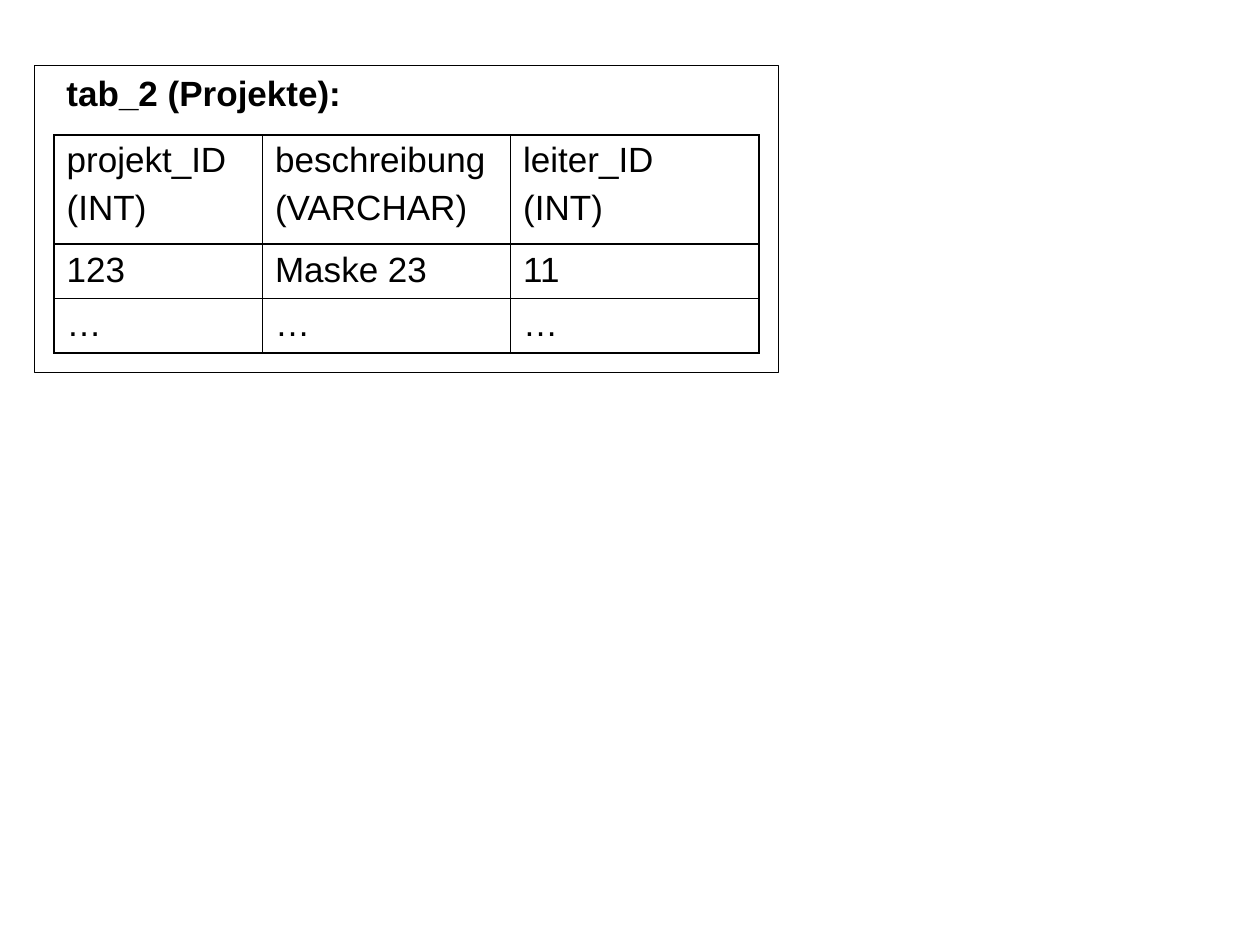
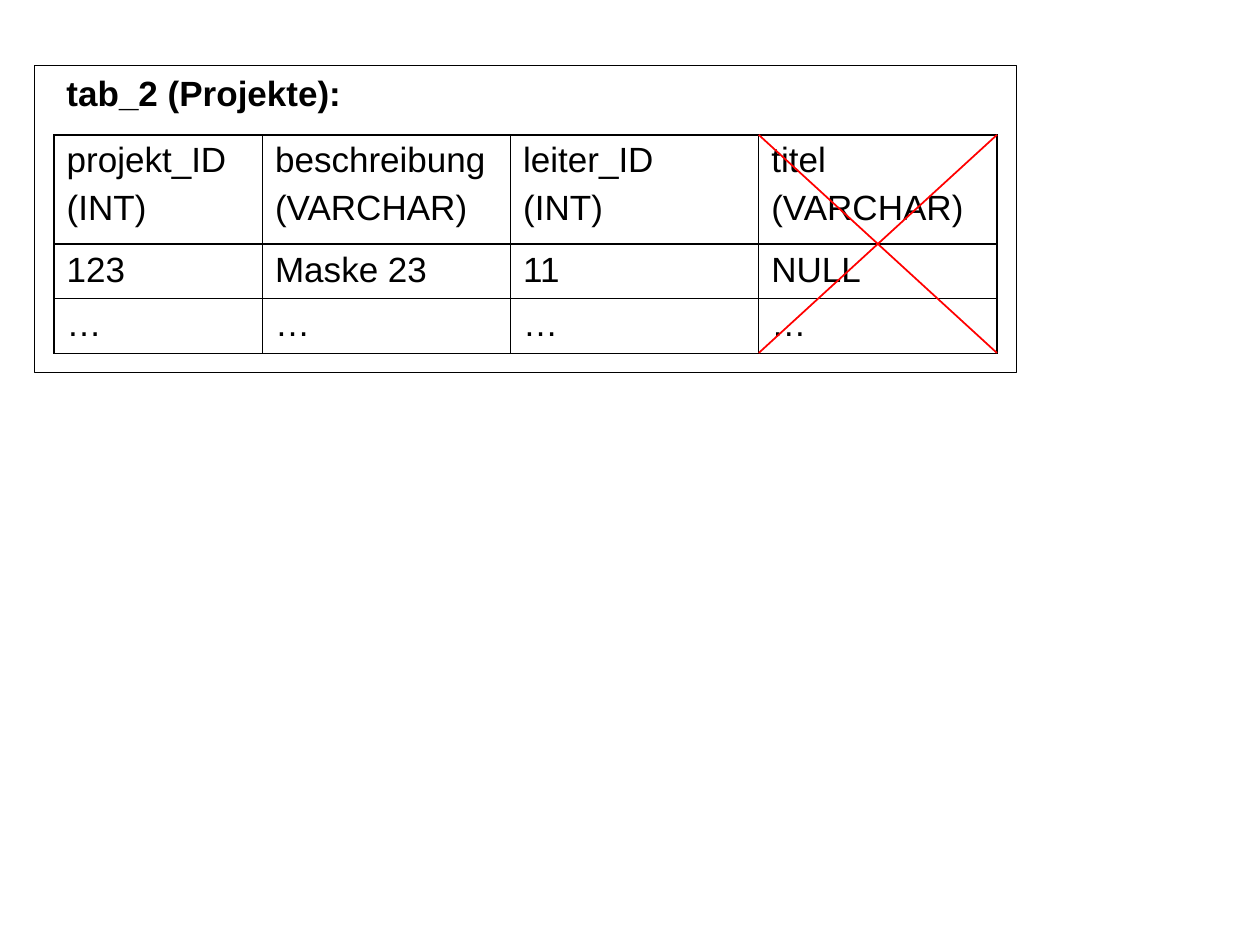
from lxml.etree import SubElement
from pptx import Presentation
from pptx.dml.color import RGBColor
from pptx.enum.shapes import MSO_CONNECTOR as CONNECTOR, MSO_SHAPE as SHAPE
from pptx.enum.text import MSO_AUTO_SIZE as AUTO_SIZE
from pptx.oxml import parse_xml
from pptx.oxml.ns import nsdecls, qn
from pptx.util import Pt

TITLE = "tab_2 (Projekte):"
PROJECT_COLUMNS = [
    # header, type, values, width
    ("projekt_ID", "(INT)", ["123", "…"], 119.1),
    ("beschreibung", "(VARCHAR)", ["Maske 23", "…"], 141.8),
    ("leiter_ID", "(INT)", ["11", "…"], 141.8),
]
TITLE_COLUMN = ("titel", "(VARCHAR)", ["NULL", "…"], 136.1)

# columns, whether the last one is crossed out
SLIDES = [
    (PROJECT_COLUMNS, False),
    (PROJECT_COLUMNS + [TITLE_COLUMN], True),
]

BLACK, RED = "000000", "FF0000"
FONT, SIZE = "Arial", 20
OUTER, INNER = 1.08, 0.45
TABLE_LEFT, TABLE_TOP = 30.9, 77.1
ROW_HEIGHTS = [62.4, 31.1, 31.1]
TABLE_HEIGHT = sum(ROW_HEIGHTS)
FRAME_TOP, FRAME_MARGIN = 37.4, 11.3
TITLE_WIDTH, TITLE_HEIGHT = 171.4, 31.5


def rgb(color):
    return RGBColor.from_string(color)


def format_runs(tf, bold=False):
    for p in tf.paragraphs:
        for r in p.runs:
            r.font.name, r.font.size, r.font.bold = FONT, Pt(SIZE), bold
            r.font.color.rgb = rgb(BLACK)


def set_borders(cell, weights):
    """Weights are given in points: left, right, top, bottom."""
    tc_pr = cell._tc.get_or_add_tcPr()
    for i, (side, weight) in enumerate(zip("LRTB", weights)):
        tc_pr.insert(i, parse_xml(
            f'<a:ln{side} {nsdecls("a")} w="{Pt(weight)}"><a:solidFill>'
            f'<a:srgbClr val="{BLACK}"/></a:solidFill></a:ln{side}>'))


def add_project_table(s, columns):
    last_row, last_col = len(ROW_HEIGHTS) - 1, len(columns) - 1
    width = sum(column[3] for column in columns)
    table = s.shapes.add_table(last_row + 1, last_col + 1, Pt(TABLE_LEFT), Pt(TABLE_TOP),
                               Pt(width), Pt(TABLE_HEIGHT)).table
    table.first_row = table.horz_banding = False
    for row, height in zip(table.rows, ROW_HEIGHTS):
        row.height = Pt(height)
    for j, (header, kind, values, col_width) in enumerate(columns):
        table.columns[j].width = Pt(col_width)
        for i, text in enumerate([f"{header}\n{kind}", *values]):
            cell = table.cell(i, j)
            cell.fill.background()
            tf = cell.text_frame
            tf.text = text
            for p in tf.paragraphs[1:]:
                p.space_before = Pt(5)
            format_runs(tf)
            set_borders(cell, [
                OUTER if j == 0 else INNER,
                OUTER if j == last_col else INNER,
                OUTER if i <= 1 else INNER,
                OUTER if i in (0, last_row) else INNER,
            ])
    return width


def add_title(s):
    sp = s.shapes.add_textbox(Pt(TABLE_LEFT), Pt(FRAME_TOP), Pt(TITLE_WIDTH), Pt(TITLE_HEIGHT))
    tf = sp.text_frame
    tf.word_wrap = False
    tf.auto_size = AUTO_SIZE.SHAPE_TO_FIT_TEXT
    tf.text = TITLE
    format_runs(tf, bold=True)


def cross_out(s, left, right):
    top, bottom = TABLE_TOP, TABLE_TOP + TABLE_HEIGHT
    for start, end in [(top, bottom), (bottom, top)]:
        line = s.shapes.add_connector(CONNECTOR.STRAIGHT, Pt(left), Pt(start), Pt(right), Pt(end))
        line.line.color.rgb = rgb(RED)
        line.line.width = Pt(1)
        SubElement(line._element.spPr, qn("a:effectLst"))


def add_frame(s, table_width):
    height = TABLE_TOP + TABLE_HEIGHT + FRAME_MARGIN - FRAME_TOP
    sp = s.shapes.add_shape(SHAPE.RECTANGLE, Pt(TABLE_LEFT - FRAME_MARGIN), Pt(FRAME_TOP),
                            Pt(table_width + 2 * FRAME_MARGIN), Pt(height))
    sp.shadow.inherit = False
    sp.fill.background()
    sp.line.color.rgb = rgb(BLACK)
    sp.line.width = Pt(0.75)


def main():
    prs = Presentation()
    prs.slide_width, prs.slide_height = Pt(720), Pt(540)
    for columns, crossed in SLIDES:
        s = prs.slides.add_slide(prs.slide_layouts[6])
        width = add_project_table(s, columns)
        add_title(s)
        if crossed:
            right = TABLE_LEFT + width
            cross_out(s, right - columns[-1][3], right)
        add_frame(s, width)
    prs.save("out.pptx")


if __name__ == "__main__":
    main()
